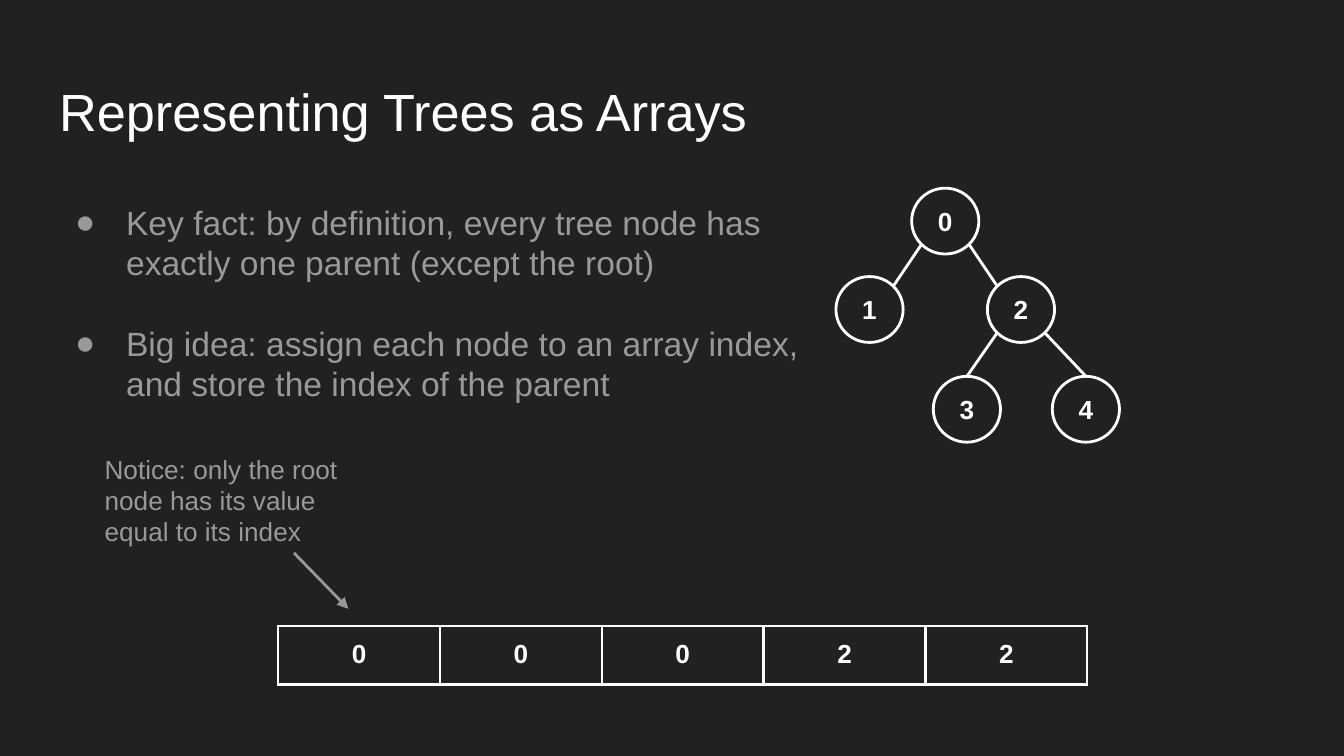
from dataclasses import dataclass
from math import cos, radians, sin

from lxml.etree import SubElement
from pptx import Presentation
from pptx.dml.color import RGBColor
from pptx.enum.shapes import MSO_CONNECTOR, MSO_SHAPE
from pptx.enum.text import MSO_ANCHOR, PP_ALIGN
from pptx.oxml.ns import qn
from pptx.util import Inches, Pt


@dataclass(frozen=True)
class Theme:
    """Colours, type sizes and line width of the slide."""
    back: str = "212121"
    white: str = "FFFFFF"
    grey: str = "999999"
    font: str = "Arial"
    title: int = 28
    body: int = 18
    small: int = 14
    line: float = 1.5


@dataclass(frozen=True)
class Box:
    """A region in inches."""
    x: float
    y: float
    w: float
    h: float

    def at(self, u, v):
        """Return the point at shares u and v of the box."""
        return self.x + u * self.w, self.y + v * self.h

    def emu(self):
        """Return left, top, width and height as lengths."""
        return [Inches(n) for n in (self.x, self.y, self.w, self.h)]


T = Theme()
PARENTS = [0, 0, 0, 2, 2]
NODES = [(0.35, 0), (0, 0.47), (0.7, 0.47), (0.45, 1), (1, 1)]


def write(tf, *lines, size=T.small, color=T.white, bold=False, align=PP_ALIGN.LEFT,
          anchor=MSO_ANCHOR.TOP, bullet=None, gap=0):
    """Fill a text frame with one formatted paragraph per line."""
    tf.word_wrap = True
    tf.vertical_anchor = anchor
    tf.margin_left = tf.margin_right = tf.margin_top = tf.margin_bottom = Inches(0.1)
    for i, line in enumerate(lines):
        p = tf.paragraphs[0] if i == 0 else tf.add_paragraph()
        p.alignment, p.line_spacing = align, 1.0
        p.space_before, p.space_after = Pt(gap if i else 0), Pt(0)
        r = p.add_run()
        r.text = line
        r.font.name, r.font.size, r.font.bold = T.font, Pt(size), bold
        r.font.color.rgb = RGBColor.from_string(color)
        if bullet:
            pPr = p._p.get_or_add_pPr()
            pPr.set("marL", str(Inches(0.5)))
            pPr.set("indent", str(Inches(-0.38)))
            SubElement(SubElement(pPr, qn("a:buClr")), qn("a:srgbClr"), val=color)
            SubElement(pPr, qn("a:buSzPts"), val=str(size * 100))
            SubElement(pPr, qn("a:buFont"), typeface=T.font)
            SubElement(pPr, qn("a:buChar"), char=bullet)


def add_line(s, start, end, color=T.white, arrow=False):
    """Draw a straight line between two points, with an optional arrowhead."""
    sp = s.shapes.add_connector(MSO_CONNECTOR.STRAIGHT, *[Inches(n) for n in (*start, *end)])
    sp.line.width = Pt(T.line)
    sp.line.color.rgb = RGBColor.from_string(color)
    if arrow:
        SubElement(sp.line._get_or_add_ln(), qn("a:tailEnd"), type="triangle")
    SubElement(sp._element.spPr, qn("a:effectLst"))


def add_title(s, box, text):
    """Place and format the title placeholder."""
    sp = s.shapes.title
    sp.left, sp.top, sp.width, sp.height = box.emu()
    write(sp.text_frame, text, size=T.title)


def add_text(s, box, *lines, **fmt):
    """Add a grey text box."""
    sp = s.shapes.add_textbox(*box.emu())
    write(sp.text_frame, *lines, color=T.grey, **fmt)


def add_tree(s, box, w=0.5, h=0.49):
    """Draw the numbered nodes and join each to its parent."""
    free = Box(box.x, box.y, box.w - w, box.h - h)
    nodes = [Box(*free.at(u, v), w, h) for u, v in NODES]
    for i, node in enumerate(nodes):
        sp = s.shapes.add_shape(MSO_SHAPE.OVAL, *node.emu())
        sp.shadow.inherit = False
        sp.fill.background()
        sp.line.width = Pt(T.line)
        sp.line.color.rgb = RGBColor.from_string(T.white)
        write(sp.text_frame, str(i), bold=True, align=PP_ALIGN.CENTER, anchor=MSO_ANCHOR.MIDDLE)

    def rim(node, angle):
        """Return the point on a node's outline at an angle in degrees."""
        a = radians(angle)
        return node.at(0.5 + cos(a) / 2, 0.5 - sin(a) / 2)

    for i, parent in enumerate(PARENTS):
        if i != parent:
            leave = 225 if nodes[i].x < nodes[parent].x else 315
            enter = leave - 180 if parent == 0 else 90
            add_line(s, rim(nodes[parent], leave), rim(nodes[i], enter))


def add_array(s, box, values):
    """Add the parent array as a one-row table with white borders."""
    table = s.shapes.add_table(1, len(values), *box.emu()).table
    table.first_row = table.horz_banding = False
    for cell, value in zip(table.iter_cells(), values):
        write(cell.text_frame, str(value), bold=True, align=PP_ALIGN.CENTER)
        cell.margin_left = cell.margin_right = Inches(0.1)
        cell.margin_top = cell.margin_bottom = Inches(0.1)
        tcPr = cell._tc.get_or_add_tcPr()
        for side in ("a:lnL", "a:lnR", "a:lnT", "a:lnB"):
            ln = SubElement(tcPr, qn(side), w=str(Pt(T.line)))
            SubElement(SubElement(ln, qn("a:solidFill")), qn("a:srgbClr"), val=T.white)
        cell.fill.background()


def add_notice(s, box, text):
    """Add the remark with an arrow towards the array."""
    add_line(s, box.at(0.67, 0.67), box.at(0.85, 1), color=T.grey, arrow=True)
    add_text(s, Box(box.x, box.y, box.w, 0.56 * box.h), text)


def main():
    """Build the slide and save it."""
    prs = Presentation()
    prs.slide_width = Inches(10)
    prs.slide_height = prs.slide_width * 9 // 16
    s = prs.slides.add_slide(prs.slide_layouts[5])
    s.background.fill.solid()
    s.background.fill.fore_color.rgb = RGBColor.from_string(T.back)
    add_title(s, Box(0.34, 0.49, 9.32, 0.63), "Representing Trees as Arrays")
    add_tree(s, Box(6.22, 1.4, 2.11, 1.89))
    add_text(s, Box(0.34, 1.4, 6.1, 1.42),
             "Key fact: by definition, every tree node has exactly one parent (except the root)",
             "Big idea: assign each node to an array index, and store the index of the parent",
             size=T.body, bullet="●", gap=21.6)
    add_array(s, Box(2.07, 4.66, 6.02, 0.42), PARENTS)
    add_notice(s, Box(0.68, 3.27, 2.25, 1.26),
               "Notice: only the root node has its value equal to its index")
    prs.save("out.pptx")


if __name__ == "__main__":
    main()
